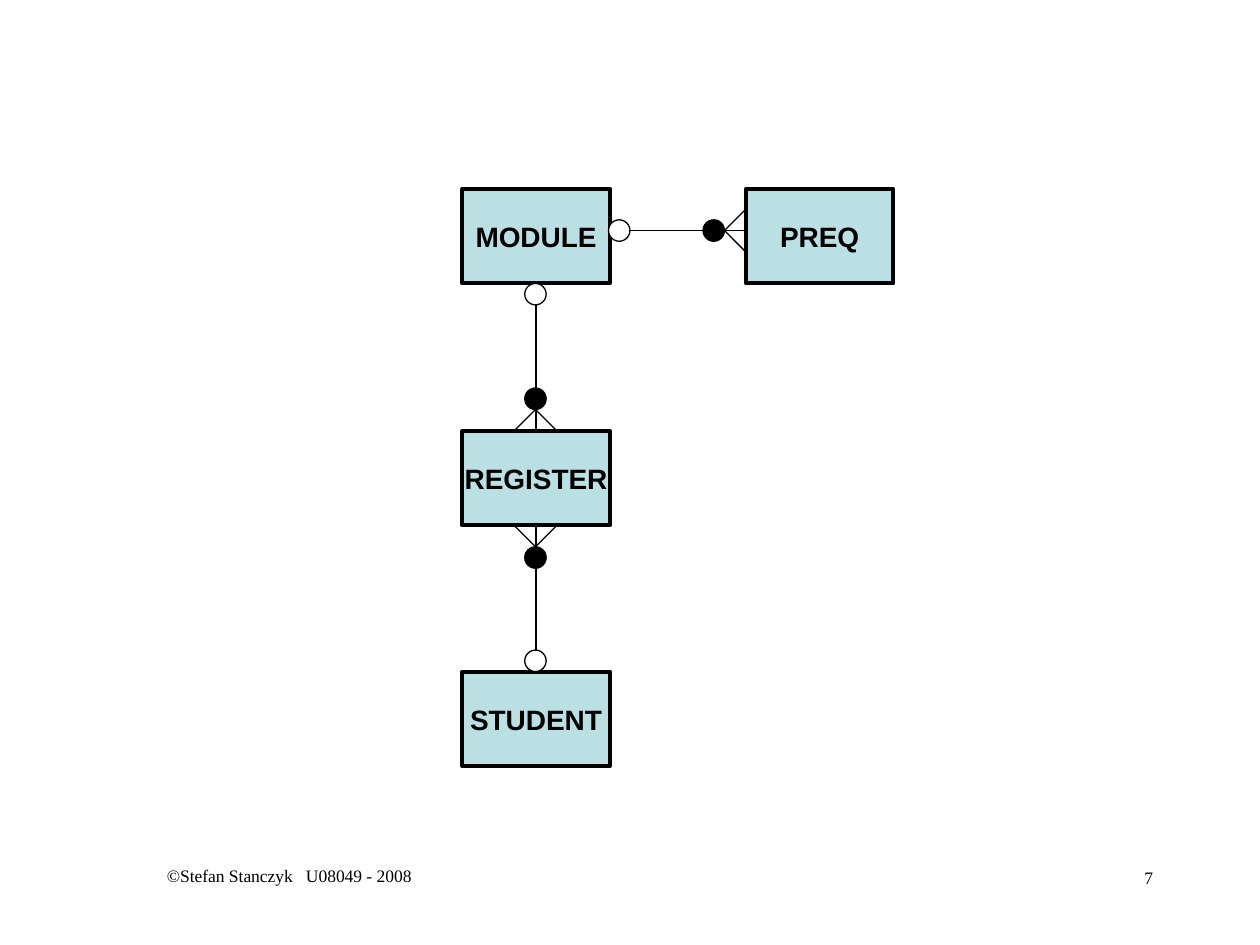
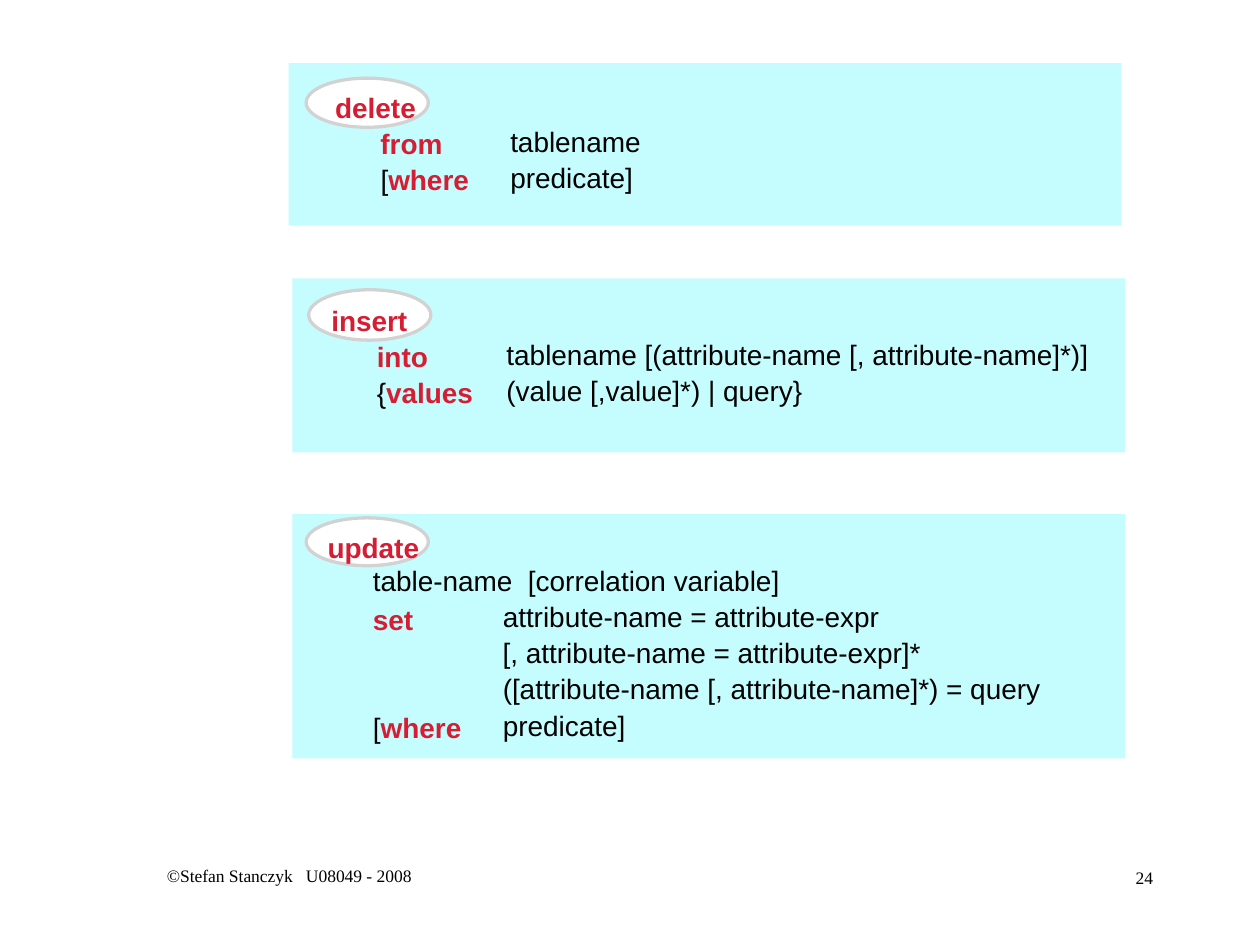
from dataclasses import dataclass

from lxml.etree import SubElement
from pptx import Presentation
from pptx.dml.color import RGBColor
from pptx.enum.shapes import MSO_CONNECTOR, MSO_SHAPE
from pptx.enum.text import MSO_ANCHOR, PP_ALIGN
from pptx.oxml.ns import qn
from pptx.util import Inches, Pt


@dataclass(frozen=True)
class Theme:
    ink: str = "000000"
    paper: str = "FFFFFF"
    entity: str = "BBE0E3"
    panel: str = "C5FDFF"
    ring: str = "D2D2D2"
    keyword: str = "D51E34"
    body_font: str = "Arial"
    footer_font: str = "Times New Roman"
    body_size: float = 16
    footer_size: float = 10
    thin: float = 0.75
    thick: float = 2.25
    ring_width: float = 1.87


T = Theme()

# Entity diagram measures
ENTITY_W, ENTITY_H = 1.17, 0.75
DOT = FOOT = 0.17

# Syntax panel measures
ROW_STEP = 1.43 / 5
HEAD_OUTDENT = 0.36
ARG_INDENT = 1.03
PLAIN_LIFT = 0.02


def rgb(value):
    return RGBColor.from_string(value)


def style_run(r, color=T.ink, bold=False, font=T.body_font, size=T.body_size):
    r.font.name = font
    r.font.size = Pt(size)
    r.font.bold = bold
    r.font.color.rgb = rgb(color)


def add_box(shapes, kind, rect, fill, line=None, width=T.thin):
    sp = shapes.add_shape(kind, *map(Inches, rect))
    sp.shadow.inherit = False
    sp.fill.solid()
    sp.fill.fore_color.rgb = rgb(fill)
    if line:
        sp.line.color.rgb = rgb(line)
        sp.line.width = Pt(width)
    else:
        sp.line.fill.background()
    return sp


def add_line(s, start, end):
    c = s.shapes.add_connector(MSO_CONNECTOR.STRAIGHT,
                               *map(Inches, (*start, *end)))
    c.line.color.rgb = rgb(T.ink)
    c.line.width = Pt(T.thin)
    SubElement(c._element.spPr, qn("a:effectLst"))
    return c


def add_footer(s, number):
    for rect, text, align in (
            ((0.71, 6.82, 3.17, 0.5), "©Stefan Stanczyk   U08049 - 2008", PP_ALIGN.CENTER),
            ((7.17, 6.83, 2.08, 0.5), str(number), PP_ALIGN.RIGHT)):
        tf = s.shapes.add_textbox(*map(Inches, rect)).text_frame
        tf.word_wrap = True
        p = tf.paragraphs[0]
        p.text = text
        p.alignment = align
        style_run(p.runs[0], font=T.footer_font, size=T.footer_size)


# Entity diagram
def add_entity(s, name, left, top):
    sp = add_box(s.shapes, MSO_SHAPE.RECTANGLE, (left, top, ENTITY_W, ENTITY_H),
                 T.entity, T.ink, T.thick)
    tf = sp.text_frame
    tf.word_wrap = False
    tf.vertical_anchor = MSO_ANCHOR.MIDDLE
    p = tf.paragraphs[0]
    p.text = name
    p.alignment = PP_ALIGN.CENTER
    style_run(p.runs[0], bold=True)
    return sp


def add_dot(s, x, y, fill):
    add_box(s.shapes, MSO_SHAPE.FLOWCHART_CONNECTOR,
            (x - DOT / 2, y - DOT / 2, DOT, DOT), fill, T.ink)


def add_relationship(s, one, many, direction):
    """Line from the optional 'one' end to the mandatory 'many' end."""
    (x1, y1), (x2, y2), (dx, dy) = one, many, direction
    link = add_line(s, one, many)
    # Crow's foot
    apex = (x2 - dx * FOOT, y2 - dy * FOOT)
    for side in (-1, 1):
        add_line(s, apex, (x2 + side * dy * FOOT, y2 + side * dx * FOOT))
    # Participation dots
    reach = FOOT + DOT / 2
    add_dot(s, x2 - dx * reach, y2 - dy * reach, T.ink)
    add_dot(s, x1 + dx * DOT / 2, y1 + dy * DOT / 2, T.paper)
    return link


def build_entity_slide(s):
    module = add_entity(s, "MODULE", 3.67, 1.5)
    add_entity(s, "PREQ", 5.92, 1.5)
    register = add_entity(s, "REGISTER", 3.67, 3.42)
    student = add_entity(s, "STUDENT", 3.67, 5.33)

    add_relationship(s, (4.83, 1.83), (5.92, 1.83), (1, 0))
    link = add_relationship(s, (4.25, 2.25), (4.25, 3.42), (0, 1))
    link.begin_connect(module, 2)
    link.end_connect(register, 0)
    link = add_relationship(s, (4.25, 5.33), (4.25, 4.17), (0, -1))
    link.begin_connect(student, 0)
    link.end_connect(register, 2)


# Statement syntax panels
def text_width(text, bold):
    narrow, wide = " ,*[](){}|-filrt", "m"
    width = sum(0.07 if ch in narrow else 0.19 if ch in wide else 0.12
                for ch in text)
    return width * (1.1 if bold else 1) + 0.05


def add_syntax(shapes, x, y, plain="", keyword=""):
    """One line of syntax: plain text, then a highlighted keyword."""
    if not keyword:
        y -= PLAIN_LIFT
    width = text_width(plain + keyword, bool(keyword))
    tf = shapes.add_textbox(*map(Inches, (x, y, width, 0.27))).text_frame
    tf.word_wrap = True
    tf.margin_left = tf.margin_top = tf.margin_right = tf.margin_bottom = 0
    p = tf.paragraphs[0]
    for text, color, bold in ((plain, T.ink, False), (keyword, T.keyword, True)):
        if text:
            r = p.add_run()
            r.text = text
            style_run(r, color, bold)


def add_statement(s, verb, panel, oval, x, y, rows):
    shapes = s.shapes.add_group_shape().shapes
    add_box(shapes, MSO_SHAPE.RECTANGLE, panel, T.panel)
    add_box(shapes, MSO_SHAPE.OVAL, oval, T.paper, T.ring, T.ring_width)
    add_syntax(shapes, x - HEAD_OUTDENT, y, keyword=verb)
    for i, (plain, keyword, argument) in enumerate(rows, 1):
        row_y = y + i * ROW_STEP
        if plain or keyword:
            add_syntax(shapes, x, row_y, plain, keyword)
        if argument:
            add_syntax(shapes, x + ARG_INDENT, row_y, argument)


def build_syntax_slide(s):
    add_statement(s, "update", (2.32, 4.08, 6.61, 1.94), (2.43, 4.11, 0.97, 0.38),
                  2.96, 4.21, [
        ("table-name  [correlation variable]", "", ""),
        ("", "set", "attribute-name = attribute-expr"),
        ("", "", "[, attribute-name = attribute-expr]*"),
        ("", "", "([attribute-name [, attribute-name]*) = query"),
        ("[", "where", "predicate]"),
    ])
    add_statement(s, "insert", (2.32, 2.21, 6.61, 1.38), (2.45, 2.3, 0.97, 0.4),
                  2.99, 2.41, [
        ("", "into", "tablename [(attribute-name [, attribute-name]*)]"),
        ("{", "values", "(value [,value]*) | query}"),
    ])
    add_statement(s, "delete", (2.29, 0.5, 6.61, 1.29), (2.43, 0.62, 0.97, 0.39),
                  3.02, 0.72, [
        ("", "from", "tablename"),
        ("[", "where", "predicate]"),
    ])


def main():
    prs = Presentation()
    prs.slide_width, prs.slide_height = Inches(10), Inches(7.5)
    for number, build in ((7, build_entity_slide), (24, build_syntax_slide)):
        s = prs.slides.add_slide(prs.slide_layouts[6])
        add_footer(s, number)
        build(s)
    prs.save("out.pptx")


if __name__ == "__main__":
    main()
